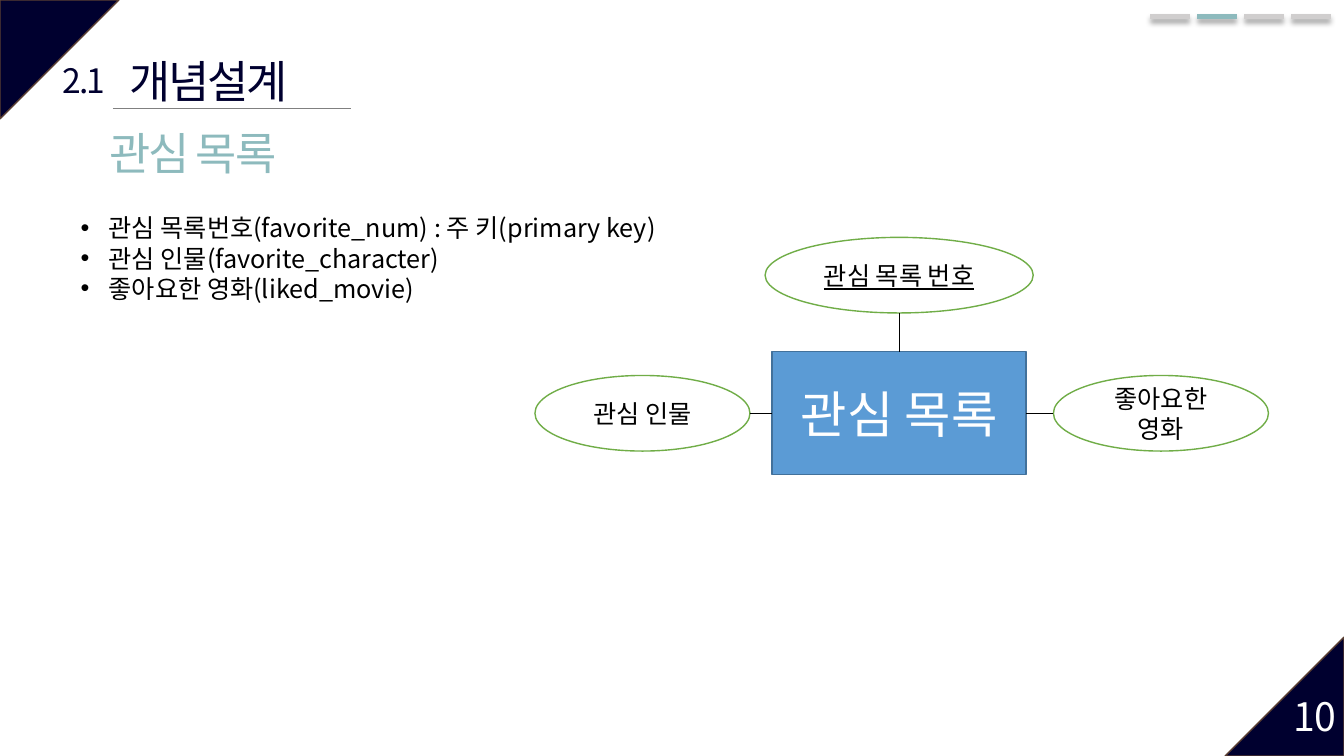
"""Build the concept design slide for the favourites entity."""

import dataclasses

import lxml.etree
import pptx
import pptx.dml.color
import pptx.enum.shapes
import pptx.enum.text
import pptx.oxml.ns
import pptx.shapes.autoshape
import pptx.shapes.connector
import pptx.slide
import pptx.text.text
import pptx.util

RGBColor = pptx.dml.color.RGBColor
Shape = pptx.enum.shapes.MSO_SHAPE
Align = pptx.enum.text.PP_ALIGN

NAVY = RGBColor(0x00, 0x00, 0x2F)
BROWN = RGBColor(0x5B, 0x3F, 0x33)
TEAL = RGBColor(0x8D, 0xBA, 0xBD)
SILVER = RGBColor(0xD0, 0xCE, 0xCE)
GRAY = RGBColor(0x80, 0x80, 0x80)
BLUE = RGBColor(0x5B, 0x9B, 0xD5)
DARK_BLUE = RGBColor(0x42, 0x71, 0x9B)
GREEN = RGBColor(0x70, 0xAD, 0x47)
BLACK = RGBColor(0x00, 0x00, 0x00)
WHITE = RGBColor(0xFF, 0xFF, 0xFF)

FONT = "Noto Sans CJK KR"
SLIDE_WIDTH = pptx.util.Inches(13.33)
SLIDE_HEIGHT = pptx.util.Inches(7.5)
COLUMN = SLIDE_WIDTH / 100
ROW = SLIDE_HEIGHT / 100


@dataclasses.dataclass(frozen=True)
class Box:
    """A rectangle in columns and rows of the 100 by 100 slide grid."""

    left: float
    top: float
    width: float
    height: float

    @property
    def lengths(self) -> tuple[int, int, int, int]:
        """Return left, top, width and height in EMU."""
        return (round(self.left * COLUMN), round(self.top * ROW),
                round(self.width * COLUMN), round(self.height * ROW))


@dataclasses.dataclass(frozen=True)
class Style:
    """The look of a run of text."""

    size: float
    color: RGBColor
    spacing: float = 0
    underline: bool = False


@dataclasses.dataclass(frozen=True)
class Label:
    """A free text box."""

    box: Box
    lines: tuple[str, ...]
    style: Style
    align: Align = Align.LEFT
    wrap: bool = True
    bulleted: bool = False


@dataclasses.dataclass(frozen=True)
class Figure:
    """A preset shape with optional text."""

    kind: Shape
    box: Box
    fill: RGBColor
    outline: RGBColor
    text: str = ""
    style: Style = Style(18, BLACK)
    rotation: float = 0


@dataclasses.dataclass(frozen=True)
class Attribute:
    """An ellipse, the grid point its link leaves from, and the entity side it meets."""

    figure: Figure
    link_column: float
    link_row: float
    entity_side: int


CORNER_WIDTH, CORNER_HEIGHT = 8.85, 15.73
CORNERS = (
    Figure(Shape.ISOSCELES_TRIANGLE, Box(0, 0, CORNER_WIDTH, CORNER_HEIGHT), NAVY, BROWN, rotation=90),
    Figure(Shape.ISOSCELES_TRIANGLE,
           Box(100 - CORNER_WIDTH, 100 - CORNER_HEIGHT, CORNER_WIDTH, CORNER_HEIGHT),
           NAVY, BROWN, rotation=270),
)

BAR_LEFT, BAR_ROW, BAR_WIDTH, BAR_PITCH = 85.58, 2.13, 2.95, 3.5
BAR_COLORS = (SILVER, TEAL, SILVER, SILVER)

LABELS = (
    Label(Box(7.43, 16, 17.55, 8.53), ("관심 목록",), Style(32, TEAL, -1.5)),
    Label(Box(8.48, 6.4, 14.1, 8.27), ("개념설계",), Style(32, NAVY, -1.5), Align.CENTER, False),
    Label(Box(3.83, 7.33, 4.8, 6.53), ("2.1",), Style(24, NAVY, -1.5), Align.CENTER, False),
    Label(Box(95.48, 90.93, 6.53, 7.6), ("10",), Style(28, WHITE)),
    Label(Box(5.25, 27.47, 48.08, 13.2),
          ("관심 목록번호(favorite_num) : 주 키(primary key)",
           "관심 인물(favorite_character)",
           "좋아요한 영화(liked_movie)"),
          Style(18, BLACK), bulleted=True),
)

ENTITY = Figure(Shape.RECTANGLE, Box(57.45, 46.53, 18.9, 16.27), BLUE, DARK_BLUE,
                "관심 목록", Style(36, WHITE))
MIDDLE_COLUMN = ENTITY.box.left + ENTITY.box.width / 2
MIDDLE_ROW = ENTITY.box.top + ENTITY.box.height / 2
OVAL_HEIGHT, SIDE_WIDTH, KEY_WIDTH = 10, 16, 19.95
KEY_TOP, LEFT_OVAL, RIGHT_OVAL = 31.4, 39.8, 78.38
SIDE_TOP = MIDDLE_ROW - OVAL_HEIGHT / 2

ATTRIBUTES = (
    Attribute(Figure(Shape.OVAL, Box(MIDDLE_COLUMN - KEY_WIDTH / 2, KEY_TOP, KEY_WIDTH, OVAL_HEIGHT),
                     WHITE, GREEN, "관심 목록 번호", Style(18, BLACK, underline=True)),
              MIDDLE_COLUMN, KEY_TOP + OVAL_HEIGHT, 0),
    Attribute(Figure(Shape.OVAL, Box(RIGHT_OVAL, SIDE_TOP, SIDE_WIDTH, OVAL_HEIGHT),
                     WHITE, GREEN, "좋아요한 영화"),
              RIGHT_OVAL, MIDDLE_ROW, 3),
    Attribute(Figure(Shape.OVAL, Box(LEFT_OVAL, SIDE_TOP, SIDE_WIDTH, OVAL_HEIGHT),
                     WHITE, GREEN, "관심 인물"),
              LEFT_OVAL + SIDE_WIDTH, MIDDLE_ROW, 1),
)


def add_element(parent: lxml.etree._Element, tag: str, **attributes: str) -> lxml.etree._Element:
    """Append a DrawingML element to its parent."""
    return lxml.etree.SubElement(parent, pptx.oxml.ns.qn(tag), attributes)


def format_paragraph(paragraph: pptx.text.text._Paragraph, style: Style, align: Align) -> None:
    """Apply alignment and run style to a paragraph."""
    paragraph.alignment = align
    for run in paragraph.runs:
        run.font.size = pptx.util.Pt(style.size)
        run.font.name = FONT
        run.font.color.rgb = style.color
        if style.underline:
            run.font.underline = True
        properties = run.font._element
        add_element(properties, "a:ea", typeface=FONT)
        if style.spacing:
            properties.set("spc", str(round(style.spacing * 100)))


def add_bullet(paragraph: pptx.text.text._Paragraph) -> None:
    """Give a paragraph a hanging round bullet."""
    properties = paragraph._p.get_or_add_pPr()
    indent = pptx.util.Inches(0.28)
    properties.set("marL", str(indent))
    properties.set("indent", str(-indent))
    add_element(add_element(properties, "a:buClr"), "a:srgbClr", val=str(BLACK))
    add_element(properties, "a:buFont", typeface="Arial")
    add_element(properties, "a:buChar", char="•")


def add_label(slide: pptx.slide.Slide, label: Label) -> None:
    """Draw a text box."""
    text_frame = slide.shapes.add_textbox(*label.box.lengths).text_frame
    text_frame.word_wrap = label.wrap
    text_frame.auto_size = pptx.enum.text.MSO_AUTO_SIZE.SHAPE_TO_FIT_TEXT
    text_frame.text = "\n".join(label.lines)
    for paragraph in text_frame.paragraphs:
        format_paragraph(paragraph, label.style, label.align)
        if label.bulleted:
            add_bullet(paragraph)


def add_figure(slide: pptx.slide.Slide, figure: Figure) -> pptx.shapes.autoshape.Shape:
    """Draw a preset shape with its text."""
    shape = slide.shapes.add_shape(figure.kind, *figure.box.lengths)
    shape.shadow.inherit = False
    shape.rotation = figure.rotation
    if figure.kind == Shape.ISOSCELES_TRIANGLE:
        shape.adjustments[0] = 0
    shape.fill.solid()
    shape.fill.fore_color.rgb = figure.fill
    shape.line.color.rgb = figure.outline
    shape.line.width = pptx.util.Pt(1)
    if figure.text:
        shape.text_frame.text = figure.text
        shape.text_frame.word_wrap = True
        shape.text_frame.vertical_anchor = pptx.enum.text.MSO_ANCHOR.MIDDLE
        format_paragraph(shape.text_frame.paragraphs[0], figure.style, Align.CENTER)
    return shape


def add_line(slide: pptx.slide.Slide, start: tuple[float, float], end: tuple[float, float],
             color: RGBColor, width: float, shadow: bool = False) -> pptx.shapes.connector.Connector:
    """Draw a straight line between two grid points."""
    line = slide.shapes.add_connector(
        pptx.enum.shapes.MSO_CONNECTOR.STRAIGHT,
        round(start[0] * COLUMN), round(start[1] * ROW), round(end[0] * COLUMN), round(end[1] * ROW))
    line.line.color.rgb = color
    line.line.width = pptx.util.Pt(width)
    effects = add_element(line._element.spPr, "a:effectLst")
    if shadow:
        outer = add_element(effects, "a:outerShdw", blurRad=str(pptx.util.Pt(4)),
                            dist=str(pptx.util.Pt(3)), dir="5400000", algn="t", rotWithShape="0")
        add_element(add_element(outer, "a:srgbClr", val=str(BLACK)), "a:alpha", val="40000")
    return line


def main() -> None:
    """Build and save the presentation."""
    presentation = pptx.Presentation()
    presentation.slide_width, presentation.slide_height = SLIDE_WIDTH, SLIDE_HEIGHT
    slide = presentation.slides.add_slide(presentation.slide_layouts[6])
    for corner in CORNERS:
        add_figure(slide, corner)
    for index, color in enumerate(BAR_COLORS):
        left = BAR_LEFT + index * BAR_PITCH
        add_line(slide, (left, BAR_ROW), (left + BAR_WIDTH, BAR_ROW), color, 3.5, shadow=True)
    add_line(slide, (8.4, 14.4), (26.1, 14.4), GRAY, 0.5)
    for label in LABELS:
        add_label(slide, label)
    entity = add_figure(slide, ENTITY)
    for attribute in ATTRIBUTES:
        add_figure(slide, attribute.figure)
        point = (attribute.link_column, attribute.link_row)
        link = add_line(slide, point, point, BLACK, 0.5)
        link.end_connect(entity, attribute.entity_side)
    presentation.save("out.pptx")


if __name__ == "__main__":
    main()
